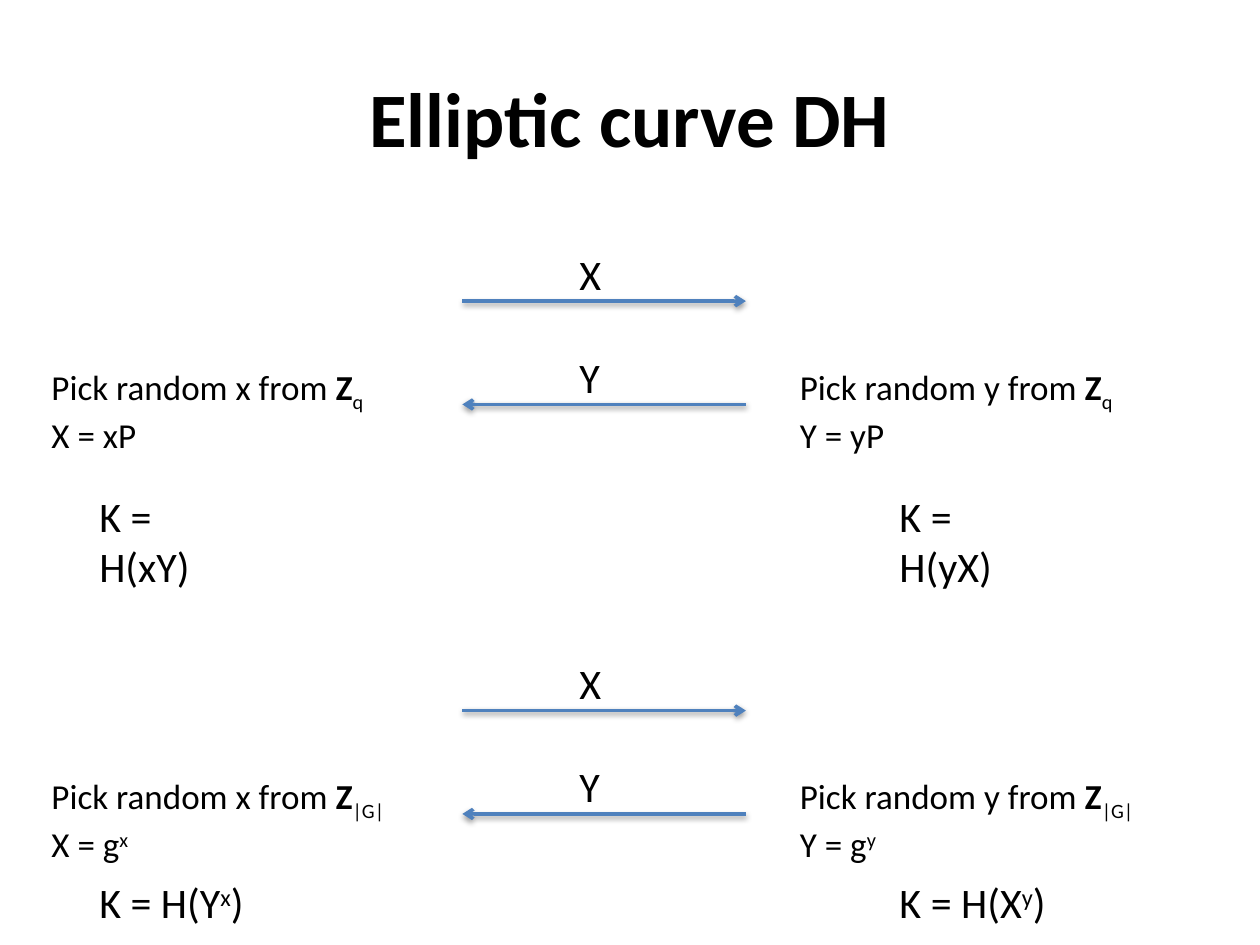
from lxml import etree
from pptx import Presentation
from pptx.dml.color import RGBColor
from pptx.enum.shapes import MSO_CONNECTOR
from pptx.enum.text import MSO_ANCHOR, MSO_AUTO_SIZE, PP_ALIGN
from pptx.oxml import parse_xml
from pptx.oxml.ns import qn
from pptx.util import Inches, Pt

BLACK = RGBColor(0x00, 0x00, 0x00)
BLUE = RGBColor(0x4F, 0x81, 0xBD)
STRAIGHT = MSO_CONNECTOR.STRAIGHT
MIDDLE = MSO_ANCHOR.MIDDLE
FIT_SHAPE = MSO_AUTO_SIZE.SHAPE_TO_FIT_TEXT
CENTER = PP_ALIGN.CENTER
SUBSCRIPT = -25
SUPERSCRIPT = 30
SHADOW = (
    '<a:effectLst xmlns:a="http://schemas.openxmlformats.org/drawingml/2006/main">'
    '<a:outerShdw blurRad="40000" dist="20000" dir="5400000" rotWithShape="0">'
    '<a:srgbClr val="000000"><a:alpha val="38000"/></a:srgbClr>'
    '</a:outerShdw></a:effectLst>'
)


class ProtocolSlide:
    font_name = "Calibri"

    def __init__(self, slide):
        self.slide = slide

    def style(self, paragraph, size):
        paragraph.font.name = self.font_name
        paragraph.font.size = Pt(size)
        paragraph.font.color.rgb = BLACK

    def title(self, text):
        shape = self.slide.shapes.add_textbox(Inches(0.5), Inches(0.3), Inches(9), Inches(1.25))
        frame = shape.text_frame
        frame.word_wrap = True
        frame.vertical_anchor = MIDDLE
        paragraph = frame.paragraphs[0]
        paragraph.text = text
        paragraph.alignment = CENTER
        self.style(paragraph, 44)
        paragraph.font.bold = True

    def text(self, left, top, width, height, lines, size=24):
        shape = self.slide.shapes.add_textbox(
            Inches(left), Inches(top), Inches(width), Inches(height))
        frame = shape.text_frame
        frame.word_wrap = False
        frame.auto_size = FIT_SHAPE
        for index, pieces in enumerate(lines):
            paragraph = frame.add_paragraph() if index else frame.paragraphs[0]
            self.style(paragraph, size)
            for text, baseline, bold in pieces:
                run = paragraph.add_run()
                run.text = text
                if bold:
                    run.font.bold = True
                if baseline:
                    run._r.get_or_add_rPr().set("baseline", str(baseline * 1000))

    def arrow(self, start, end, top):
        connector = self.slide.shapes.add_connector(
            STRAIGHT, Inches(start), Inches(top), Inches(end), Inches(top))
        connector.line.color.rgb = BLUE
        connector.line.width = Pt(2)
        properties = connector._element.spPr
        etree.SubElement(properties.find(qn("a:ln")), qn("a:tailEnd"), type="arrow")
        properties.append(parse_xml(SHADOW))

    def message(self, label, start, end, top):
        self.arrow(start, end, top)
        self.text(4.5, top - 0.47, 0.38, 0.5, [[plain(label)]])

    def party(self, left, top, width, secret, group, public):
        choice = [plain(f"Pick random {secret} from "), ("Z", 0, True), (group, SUBSCRIPT, False)]
        self.text(left, top, width, 0.77, [choice, public], 20)


def plain(text):
    return text, 0, False


def power(base, exponent, ending=""):
    pieces = [plain(base), (exponent, SUPERSCRIPT, False)]
    return pieces + [plain(ending)] if ending else pieces


def main():
    presentation = Presentation()
    presentation.slide_width = Inches(10)
    presentation.slide_height = Inches(7.5)
    page = ProtocolSlide(presentation.slides.add_slide(presentation.slide_layouts[6]))
    page.title("Elliptic curve DH")

    exchanges = [
        (2.39, "q", 2.71, 3.84,
         [plain("X = xP")], [plain("Y = yP")],
         [plain("K = H(xY)")], [plain("K = H(yX)")]),
        (5.64, "|G|", 2.91, 6.91,
         power("X = g", "x"), power("Y = g", "y"),
         power("K = H(Y", "x", ")"), power("K = H(X", "y", ")")),
    ]
    for top, group, width, key_top, public_x, public_y, key_x, key_y in exchanges:
        page.message("X", 3.67, 5.92, top)
        page.message("Y", 5.92, 3.67, top + 0.82)
        page.party(0.31, top + 0.46, width, "x", group, public_x)
        page.party(6.25, top + 0.46, width, "y", group, public_y)
        page.text(0.69, key_top, 1.4, 0.5, [key_x])
        page.text(7.04, key_top, 1.42, 0.5, [key_y])

    presentation.save("out.pptx")


if __name__ == "__main__":
    main()
